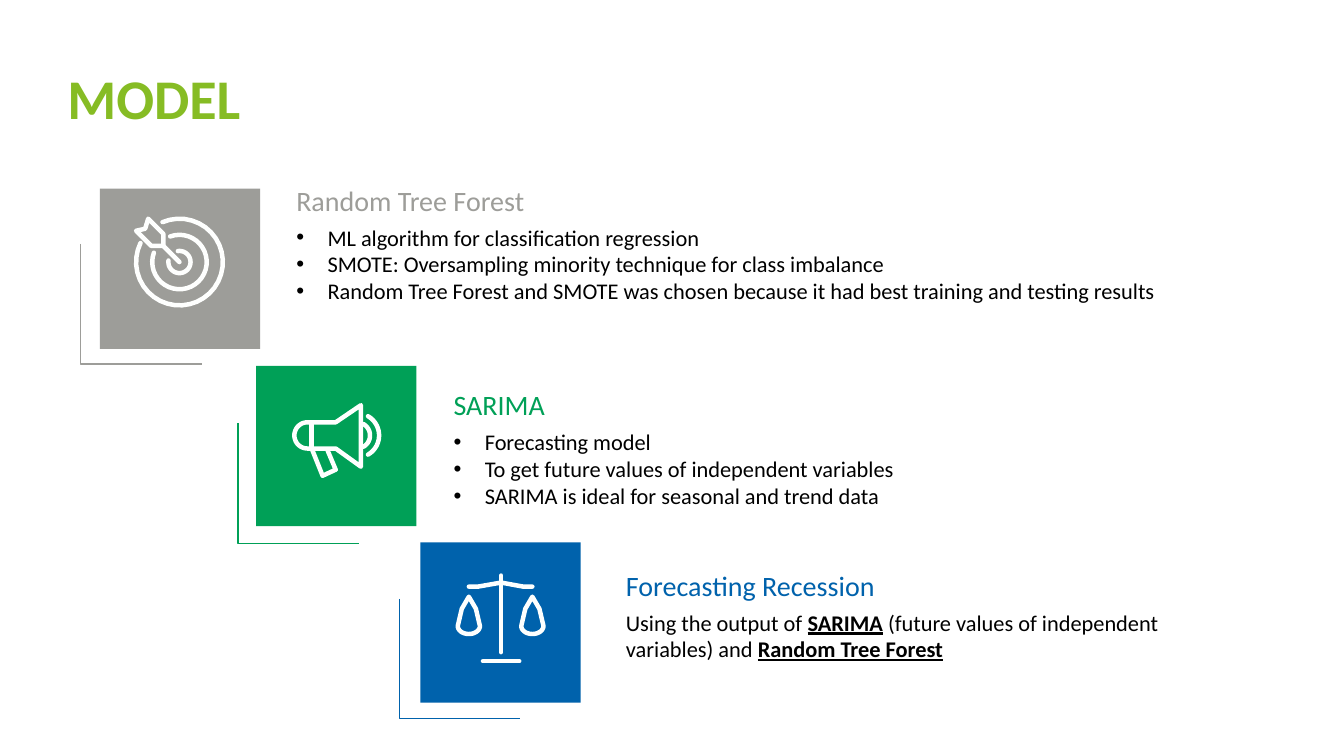
from math import cos, radians, sin

from lxml import etree
from pptx import Presentation
from pptx.dml.color import RGBColor
from pptx.enum.shapes import MSO_SHAPE
from pptx.enum.text import MSO_ANCHOR
from pptx.oxml.ns import qn
from pptx.util import Inches, Pt

RECTANGLE = MSO_SHAPE.RECTANGLE
BOTTOM = MSO_ANCHOR.BOTTOM
FONT = "Calibri"
WHITE, BLACK, LIME = "FEFFFE", "000000", "86BC24"
GRAY, GREEN, BLUE = "9D9D99", "00A057", "0062AC"
TILE = 1.59
UNIT = Inches(0.01)  # stroke points are hundredths of an inch
INDENT = Inches(0.31)

presentation = Presentation()
presentation.slide_width = Inches(13.33)
presentation.slide_height = Inches(7.5)
slide = presentation.slides.add_slide(presentation.slide_layouts[6])
shapes = slide.shapes


def arc(x, y, radius_x, radius_y, start, end):
    """Points along an elliptical arc, angles in degrees clockwise from the right."""
    steps = 32
    angles = [radians(start + (end - start) * i / steps) for i in range(steps + 1)]
    return [(x + radius_x * cos(a), y + radius_y * sin(a)) for a in angles]


def draw_strokes(strokes, left, top, color, width):
    """Draw unfilled lines as one shape; a line is closed when it ends where it began."""
    scaled = [[(round(x * UNIT), round(y * UNIT)) for x, y in points]
              for points in strokes]
    builder = shapes.build_freeform(*scaled[0][0])
    for index, points in enumerate(scaled):
        if index:
            builder.move_to(*points[0])
        builder.add_line_segments(points[1:], close=points[0] == points[-1])
    shape = builder.convert_to_shape(Inches(left), Inches(top))
    shape.shadow.inherit = False
    shape.fill.background()
    shape.line.color.rgb = RGBColor.from_string(color)
    shape.line.width = Pt(width)
    if width > 1:
        line = shape.line._get_or_add_ln()
        line.set("cap", "rnd")
        etree.SubElement(line, qn("a:round"))


bracket = [[(0, 0), (0, 119), (120, 119)]]
target = [
    arc(79, 73, 43, 43, 247, 566),
    arc(79, 73, 27, 27, 250, 560),
    arc(79, 73, 11, 11, 262, 548),
    [(48, 30), (63, 45), (63, 57), (51, 57), (36, 42), (45, 40), (48, 30)],
    [(63, 57), (79, 73)],
]
megaphone = [
    [(51, 56), (79, 56), (104, 39), (104, 100), (79, 82), (51, 82)]
    + arc(51, 69, 13, 13, 90, 270)[1:-1] + [(51, 56)],
    [(55, 56), (55, 82)],
    [(56, 84), (66, 109), (79, 103), (71, 84)],
    arc(100, 69, 13, 13, -60, 60),
    arc(100, 69, 22, 22, -60, 60),
]
scales = [
    [(62, 118), (98, 118)],
    [(80, 33), (80, 109)],
    [(48, 44), (57, 44), (80, 40), (102, 44), (111, 44)],
]
for pan_x in (48, 111):
    pan = arc(pan_x, 83, 11, 8, 0, 180)
    scales.append(pan + [(pan_x - 7, 66), (pan_x, 54), (pan_x + 7, 66), pan[0]])

# tile left and top, bracket left and top, text left, top and width,
# color, icon, heading, bulleted, paragraphs as lists of (text, emphasized)
steps = [
    (0.99, 1.87, 0.8, 2.42, 2.84, 1.7, 9.52,
     GRAY, target, "Random Tree Forest", True, [
         [("ML algorithm for classification regression", False)],
         [("SMOTE: Oversampling minority technique for class imbalance", False)],
         [("Random Tree Forest and SMOTE was chosen because it had best "
           "training and testing results", False)],
     ]),
    (2.54, 3.63, 2.36, 4.2, 4.4, 3.73, 6.32,
     GREEN, megaphone, "SARIMA", True, [
         [("Forecasting model", False)],
         [("To get future values of independent variables", False)],
         [("SARIMA is ideal for seasonal and trend data", False)],
     ]),
    (4.17, 5.38, 3.96, 5.94, 6.11, 5.52, 6.2,
     BLUE, scales, "Forecasting Recession", False, [
         [("Using the output of ", False), ("SARIMA", True),
          (" (future values of independent variables) and ", False),
          ("Random Tree Forest", True)],
     ]),
]

for (left, top, bracket_left, bracket_top, text_left, text_top, text_width,
     color, icon, heading, bulleted, paragraphs) in steps:
    draw_strokes(bracket, bracket_left, bracket_top, color, 1)
    tile = shapes.add_shape(
        RECTANGLE, Inches(left), Inches(top), Inches(TILE), Inches(TILE))
    tile.shadow.inherit = False
    tile.fill.solid()
    tile.fill.fore_color.rgb = RGBColor.from_string(color)
    tile.line.fill.background()
    draw_strokes(icon, left, top, WHITE, 3.2)

    heading_box = shapes.add_textbox(
        Inches(text_left), Inches(text_top), Inches(text_width), Inches(0.5))
    heading_frame = heading_box.text_frame
    heading_frame.word_wrap = True
    heading_frame.vertical_anchor = BOTTOM
    heading_frame.text = heading
    font = heading_frame.paragraphs[0].runs[0].font
    font.name, font.size = FONT, Pt(20)
    font.color.rgb = RGBColor.from_string(color)

    body_box = shapes.add_textbox(
        Inches(text_left), Inches(text_top + 0.47), Inches(text_width), Inches(0.7))
    body_frame = body_box.text_frame
    body_frame.word_wrap = True
    for index, parts in enumerate(paragraphs):
        paragraph = body_frame.add_paragraph() if index else body_frame.paragraphs[0]
        if bulleted:
            properties = paragraph._p.get_or_add_pPr()
            properties.set("marL", str(INDENT))
            properties.set("indent", str(-INDENT))
            etree.SubElement(properties, qn("a:buFont"), typeface="Arial")
            etree.SubElement(properties, qn("a:buChar"), char="•")
        for text, emphasized in parts:
            run = paragraph.add_run()
            run.text = text
            run.font.name, run.font.size = FONT, Pt(16)
            run.font.color.rgb = RGBColor.from_string(BLACK)
            if emphasized:
                run.font.bold = run.font.underline = True

title_box = shapes.add_textbox(Inches(0.57), Inches(0.58), Inches(2.02), Inches(0.77))
title_box.text_frame.text = "MODEL"
font = title_box.text_frame.paragraphs[0].runs[0].font
font.name, font.size, font.bold = FONT, Pt(40), True
font.color.rgb = RGBColor.from_string(LIME)

presentation.save("out.pptx")
